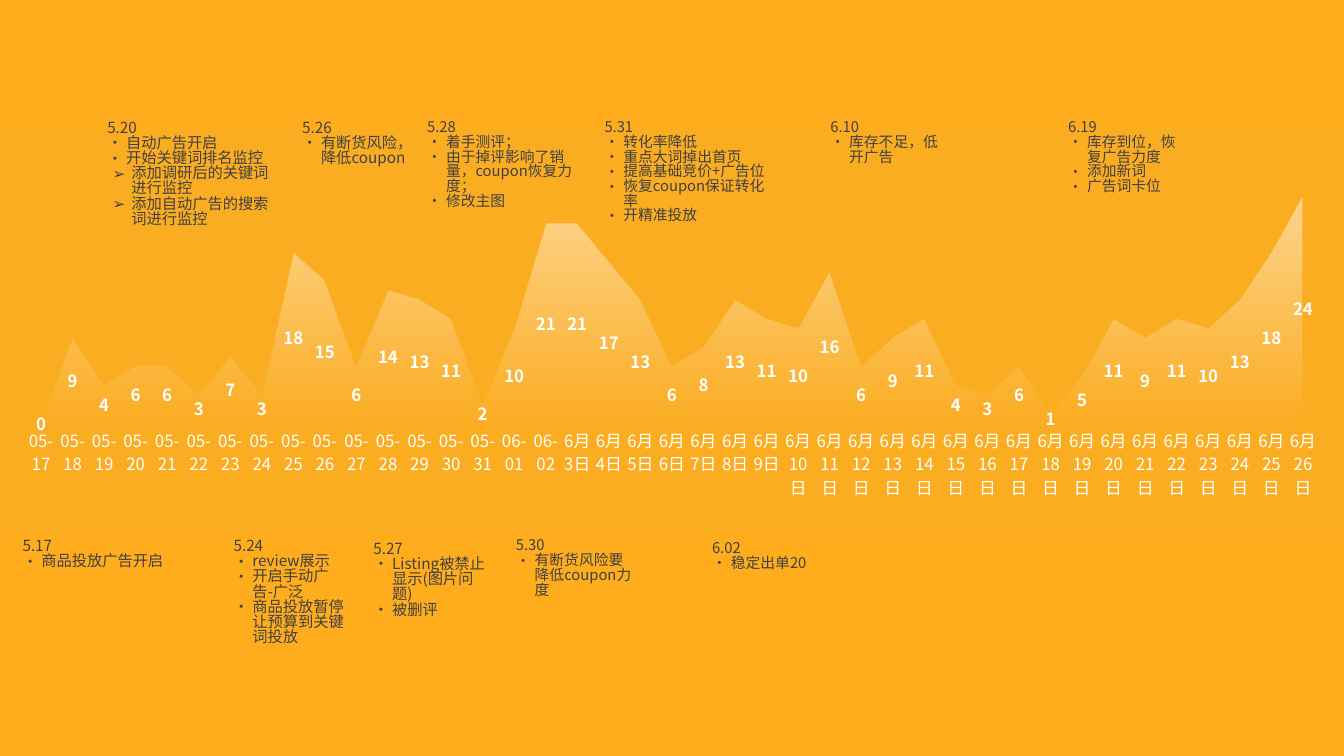
import dataclasses
import typing

import lxml.etree
import pptx
import pptx.chart.data
import pptx.dml.color
import pptx.enum.chart
import pptx.enum.text
import pptx.oxml
import pptx.oxml.ns
import pptx.util

FONT = "Noto Sans CJK SC"
COLOURS = {"page": "FFAD1D", "band": "FBAD22", "axis": "FDDEA7", "light": "FFFFFF", "text": "404040"}
DRAWING_NS = 'xmlns:a="http://schemas.openxmlformats.org/drawingml/2006/main"'
CHART_NS = 'xmlns:c="http://schemas.openxmlformats.org/drawingml/2006/chart"'

SALES = [0, 9, 4, 6, 6, 3, 7, 3, 18, 15, 6, 14, 13, 11, 2, 10, 21, 21, 17, 13, 6,
         8, 13, 11, 10, 16, 6, 9, 11, 4, 3, 6, 1, 5, 11, 9, 11, 10, 13, 18, 24]
DAYS = ([f"05-{day}" for day in range(17, 32)] + ["06-01", "06-02"]
        + [f"6月{day}日" for day in range(3, 27)])

# Shares of the slide, in percent
ABOVE, BELOW, BELOW_LATE = 15.12, 70.46, 70.82
LARGE, SMALL = 8.2, 7.9


@dataclasses.dataclass
class Note:
    date: str
    left: float
    top: float
    width: float
    height: float
    size: float
    points: list[str]
    details: list[str] = dataclasses.field(default_factory=list)
    wrap: bool = True


NOTES = [
    Note("5.17", 0.7, BELOW, 12.7, 6.76, LARGE, ["商品投放广告开启"], wrap=False),
    Note("5.20", 7, ABOVE, 14.5, 19.04, LARGE, ["自动广告开启", "开始关键词排名监控"],
         ["添加调研后的关键词进行监控", "添加自动广告的搜索词进行监控"]),
    Note("5.24", 16.4, BELOW, 10.3, 19.04, LARGE,
         ["review展示", "开启手动广告-广泛", "商品投放暂停让预算到关键词投放"]),
    Note("5.26", 21.5, ABOVE, 10.5, 9.25, LARGE, ["有断货风险，降低coupon"]),
    Note("5.27", 26.8, BELOW_LATE, 10.6, 14.23, LARGE, ["Listing被禁止显示(图片问题)", "被删评"]),
    Note("5.28", 30.8, ABOVE, 13.1, 16.01, SMALL,
         ["着手测评；", "由于掉评影响了销量，coupon恢复力度；", "修改主图"]),
    Note("5.30", 37.4, BELOW, 10.6, 11.21, SMALL, ["有断货风险要降低coupon力度"]),
    Note("5.31", 44, ABOVE, 14.3, 20.64, SMALL,
         ["转化率降低", "重点大词掉出首页", "提高基础竞价+广告位", "恢复coupon保证转化率", "开精准投放"]),
    Note("6.02", 52, BELOW_LATE, 10.6, 8.9, SMALL, ["稳定出单20"]),
    Note("6.10", 60.8, ABOVE, 10.6, 11.21, SMALL, ["库存不足，低开广告"]),
    Note("6.19", 78.5, ABOVE, 10.6, 16.01, SMALL, ["库存到位，恢复广告力度", "添加新词", "广告词卡位"]),
]


def rgb(name: str) -> pptx.dml.color.RGBColor:
    return pptx.dml.color.RGBColor.from_string(COLOURS[name])


def set_font(font: typing.Any, size: float, colour: str, bold: bool = False) -> None:
    formats = {"size": pptx.util.Pt(size), "name": FONT, "bold": bold}
    for key, value in formats.items():
        setattr(font, key, value)
    font.color.rgb = rgb(colour)


def add_bullet(para: typing.Any, mark: str, indent: float) -> None:
    properties = para._p.get_or_add_pPr()
    properties.set("marL", str(pptx.util.Inches(indent)))
    properties.set("indent", str(pptx.util.Inches(-0.14)))
    lxml.etree.SubElement(properties, pptx.oxml.ns.qn("a:buFont")).set("typeface", FONT)
    lxml.etree.SubElement(properties, pptx.oxml.ns.qn("a:buChar")).set("char", mark)


def add_note(deck: typing.Any, page: typing.Any, note: Note) -> None:
    box = page.shapes.add_textbox(
        int(deck.slide_width * note.left / 100), int(deck.slide_height * note.top / 100),
        int(deck.slide_width * note.width / 100), int(deck.slide_height * note.height / 100))
    frame = box.text_frame
    frame.word_wrap = note.wrap
    frame.auto_size = pptx.enum.text.MSO_AUTO_SIZE.SHAPE_TO_FIT_TEXT
    lines = [(note.date, "", 0.0)]
    lines += [(text, "•", 0.14) for text in note.points]
    lines += [(text, "➢", 0.18) for text in note.details]
    for number, (text, mark, indent) in enumerate(lines):
        para = frame.add_paragraph() if number else frame.paragraphs[0]
        para.line_spacing = 0.83
        if mark:
            add_bullet(para, mark, indent)
        span = para.add_run()
        span.text = text
        set_font(span.font, note.size, "text")
        east_asian = lxml.etree.SubElement(span.font._element, pptx.oxml.ns.qn("a:ea"))
        east_asian.set("typeface", FONT)


def place_plot(chart: typing.Any) -> None:
    """Fix the inner plot area, as shares of the chart."""
    shares = {"x": 0.03, "y": 0.02, "w": 0.94, "h": 0.71}
    values = "".join(f'<c:{key} val="{share}"/>' for key, share in shares.items())
    layout = pptx.oxml.parse_xml(
        f'<c:layout {CHART_NS}><c:manualLayout><c:layoutTarget val="inner"/>'
        f'<c:xMode val="edge"/><c:yMode val="edge"/>{values}</c:manualLayout></c:layout>')
    plot_area = chart._chartSpace.chart.plotArea
    for old in plot_area.findall(pptx.oxml.ns.qn("c:layout")):
        plot_area.remove(old)
    plot_area.insert(0, layout)


def fill_background(chart: typing.Any) -> None:
    paint = f'<a:solidFill><a:srgbClr val="{COLOURS["band"]}"/></a:solidFill>'
    chart._chartSpace.chart.addnext(pptx.oxml.parse_xml(
        f'<c:spPr {CHART_NS} {DRAWING_NS}>{paint}<a:ln w="9525">{paint}</a:ln></c:spPr>'))


def fade_series(series: typing.Any) -> None:
    """Half-clear white at the top, fully clear at the base."""
    stops = "".join(
        f'<a:gs pos="{position}"><a:srgbClr val="{COLOURS["light"]}"><a:alpha val="{alpha}"/></a:srgbClr></a:gs>'
        for position, alpha in ((0, 50000), (100000, 0)))
    series.format.line.color.rgb = rgb("band")
    series.format.line.width = pptx.util.Pt(0.75)
    series.format._element.get_or_add_spPr().insert(0, pptx.oxml.parse_xml(
        f'<a:gradFill {DRAWING_NS} rotWithShape="1"><a:gsLst>{stops}</a:gsLst>'
        '<a:lin ang="5400000" scaled="0"/></a:gradFill>'))


def add_sales_chart(deck: typing.Any, page: typing.Any) -> None:
    data = pptx.chart.data.CategoryChartData()
    data.categories = DAYS
    data.add_series("Series 1", SALES)
    chart = page.shapes.add_chart(
        pptx.enum.chart.XL_CHART_TYPE.AREA_STACKED, 0, int(deck.slide_height * 0.17),
        deck.slide_width, pptx.util.Inches(3), data).chart
    chart.has_legend = chart.has_title = False
    fill_background(chart)
    place_plot(chart)
    set_font(chart.font, 9, "light")

    days = chart.category_axis
    days.major_tick_mark = days.minor_tick_mark = pptx.enum.chart.XL_TICK_MARK.NONE
    days.has_major_gridlines = False
    set_font(days.tick_labels.font, 9, "light")
    line = days.format.line
    line.width = pptx.util.Pt(0.75)
    line.color.rgb = rgb("axis")
    colour = next(line._ln.iter(pptx.oxml.ns.qn("a:srgbClr")))
    lxml.etree.SubElement(colour, pptx.oxml.ns.qn("a:alpha")).set("val", "25000")

    amounts = chart.value_axis
    formats = {"visible": False, "has_major_gridlines": False, "minimum_scale": 0, "maximum_scale": 30}
    for key, value in formats.items():
        setattr(amounts, key, value)
    for crossing in amounts._element.iter(pptx.oxml.ns.qn("c:crossBetween")):
        crossing.set("val", "midCat")

    plot = chart.plots[0]
    plot.vary_by_categories = False
    fade_series(plot.series[0])
    labels = plot.series[0].data_labels
    labels.show_value = True
    set_font(labels.font, 9, "light", bold=True)


def main() -> None:
    deck = pptx.Presentation()
    deck.slide_width = pptx.util.Inches(10)
    deck.slide_height = deck.slide_width * 9 // 16
    page = deck.slides.add_slide(deck.slide_layouts[6])
    page.background.fill.solid()
    page.background.fill.fore_color.rgb = rgb("page")
    add_sales_chart(deck, page)
    for note in NOTES:
        add_note(deck, page, note)
    deck.save("out.pptx")


if __name__ == "__main__":
    main()
